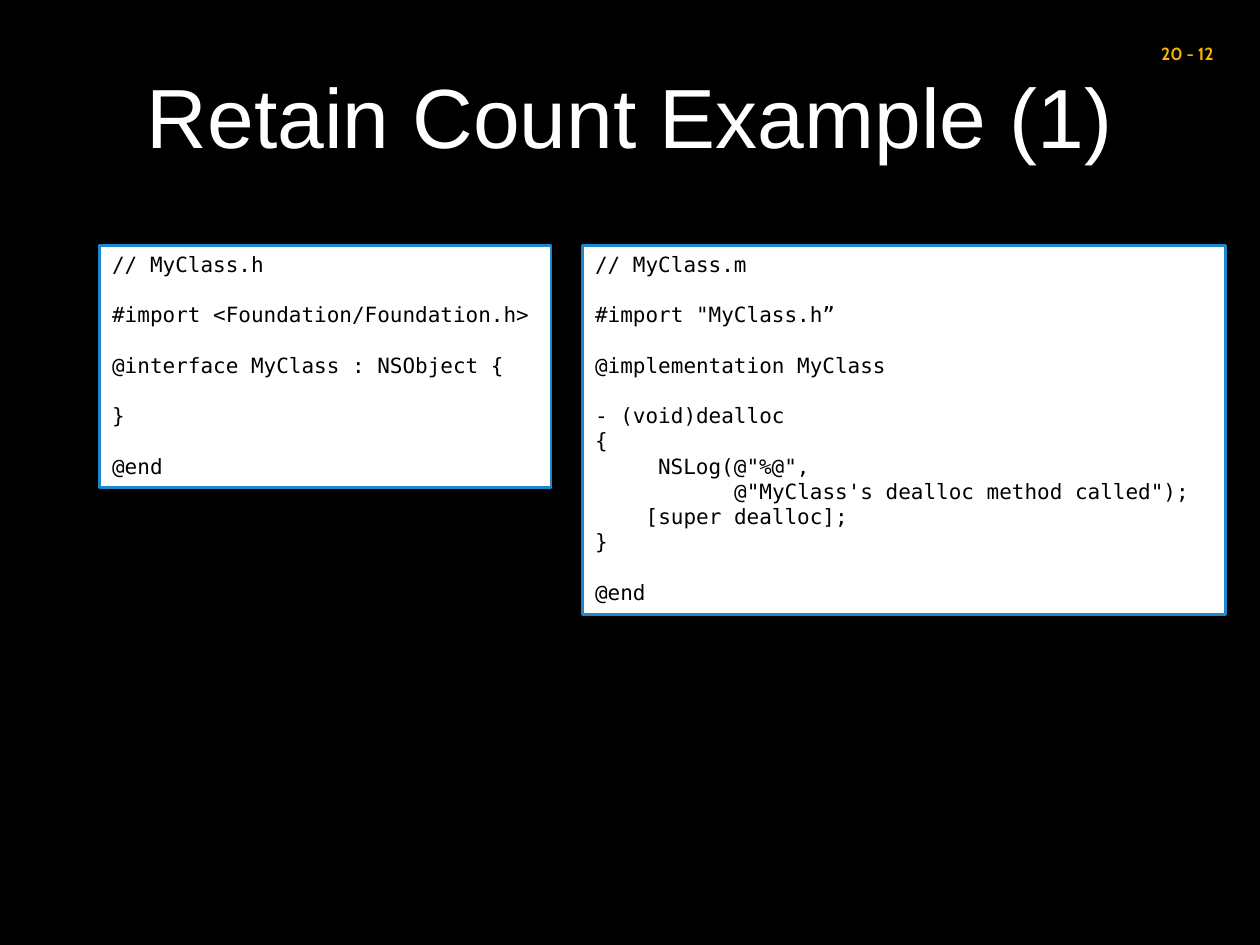
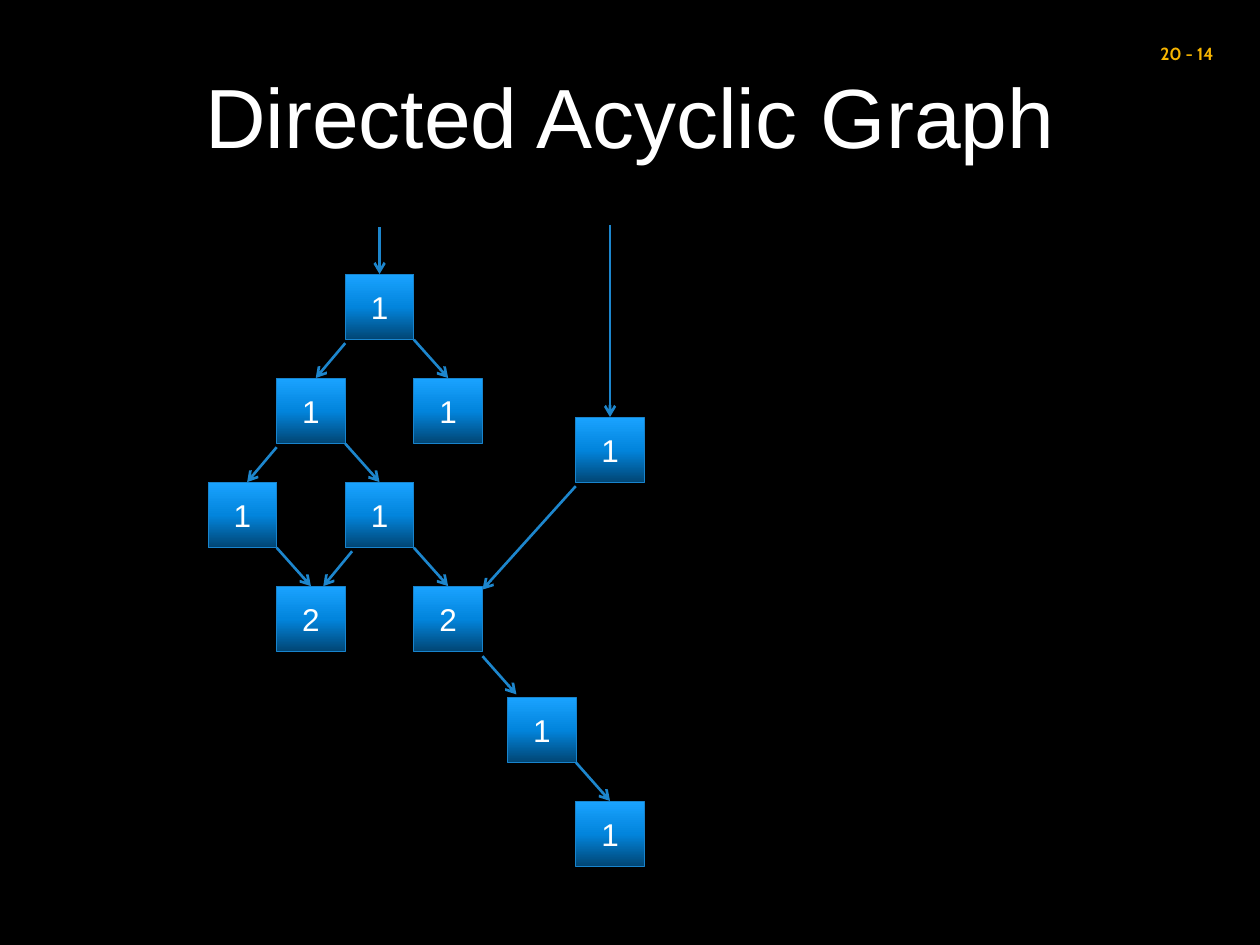
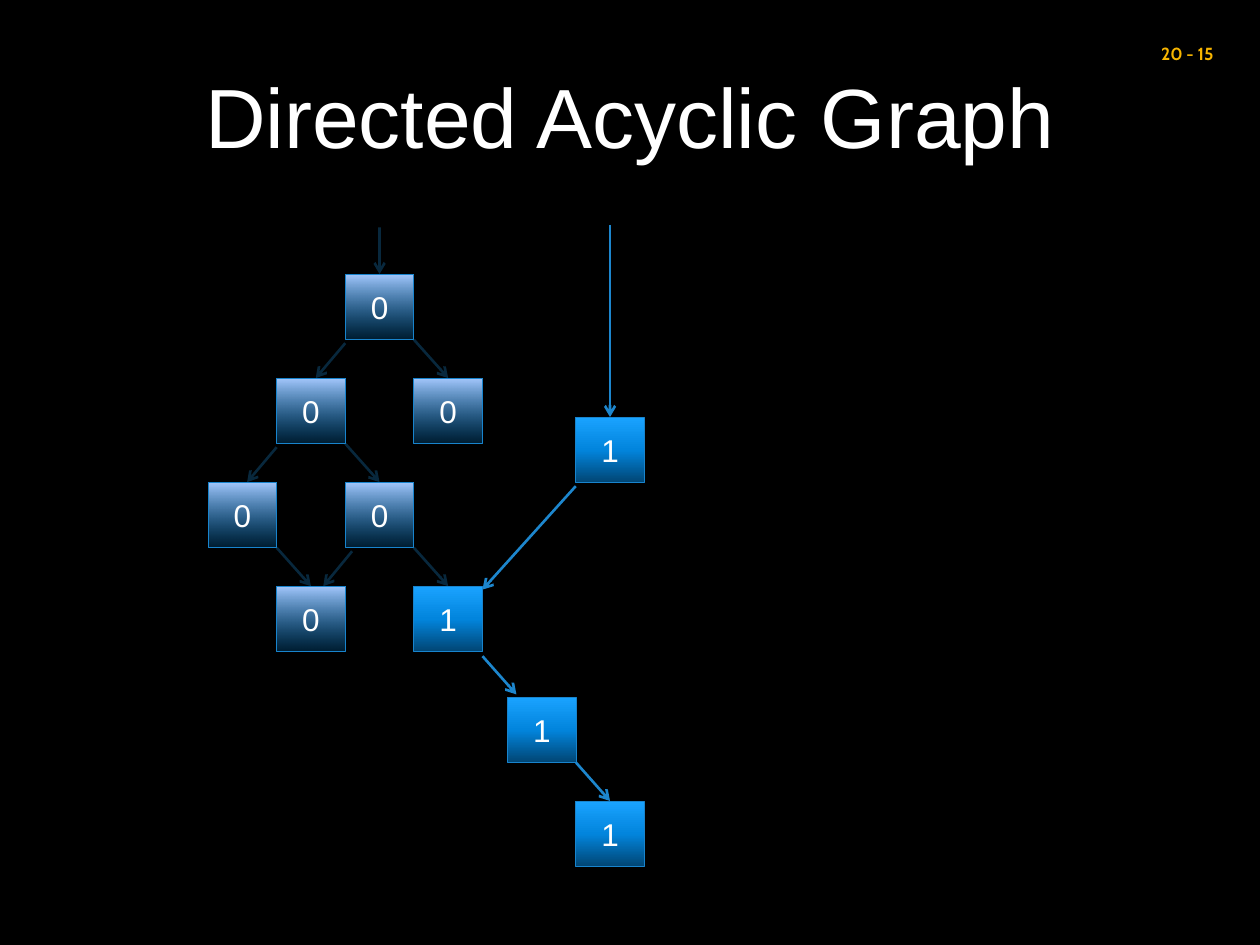
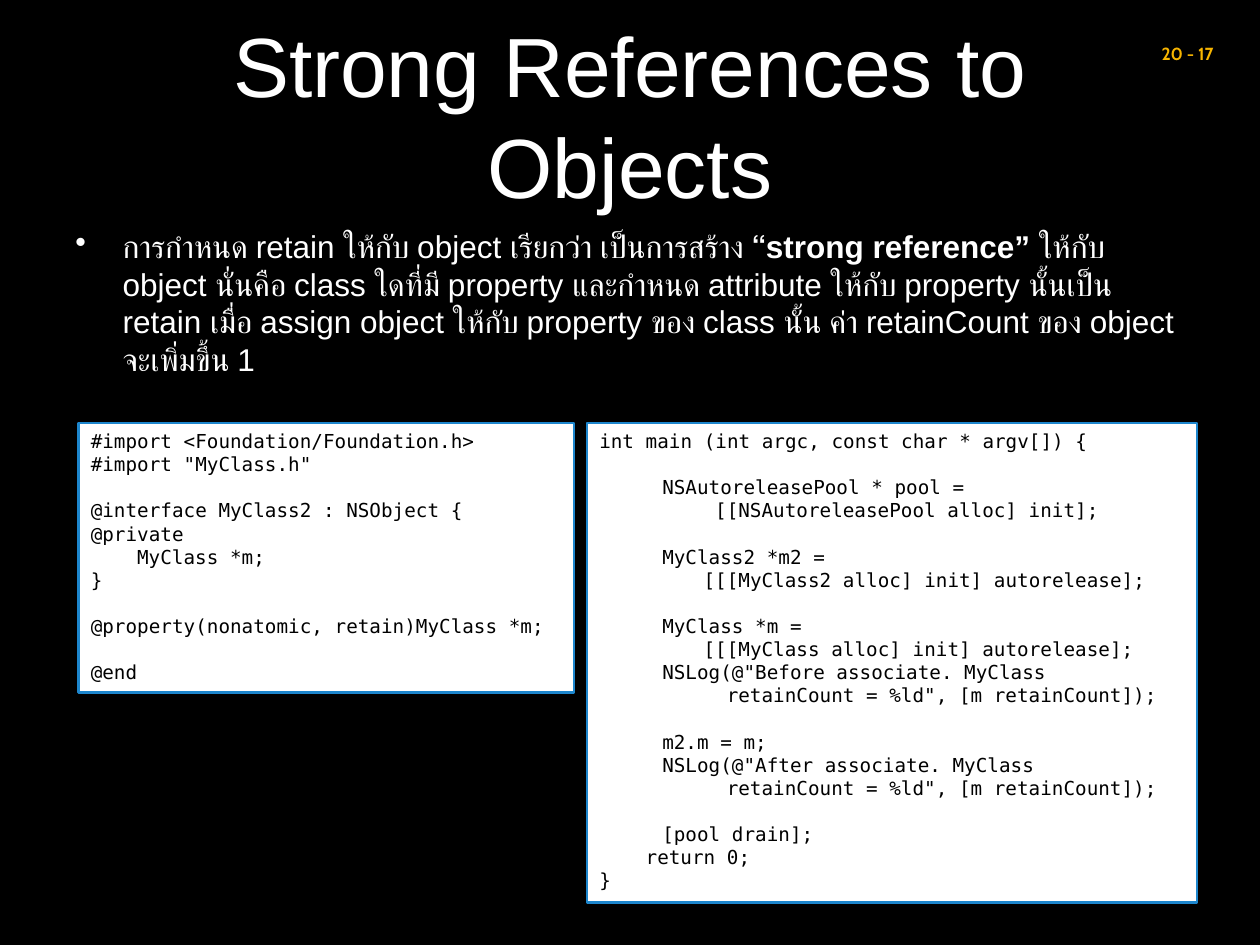
from dataclasses import dataclass

from lxml.etree import SubElement
from pptx import Presentation
from pptx.dml.color import RGBColor
from pptx.enum.shapes import MSO_CONNECTOR, MSO_SHAPE
from pptx.enum.text import MSO_ANCHOR, MSO_AUTO_SIZE, PP_ALIGN
from pptx.oxml import parse_xml
from pptx.oxml.ns import nsdecls, qn
from pptx.util import Pt

BLACK = RGBColor(0x00, 0x00, 0x00)
WHITE = RGBColor(0xFF, 0xFF, 0xFF)
AMBER = RGBColor(0xF7, 0xB5, 0x00)
BLUE = RGBColor(0x1D, 0x86, 0xCD)
NODE_EDGE = RGBColor(0x18, 0x84, 0xCD)
NODE_LIGHT = RGBColor(0x1A, 0xA3, 0xFF)
NODE_MIDDLE = RGBColor(0x02, 0x85, 0xDD)
NODE_DARK = RGBColor(0x01, 0x45, 0x73)
RELEASED_LIGHT = RGBColor(0xA6, 0xCA, 0xFF)
RELEASED_DARK = RGBColor(0x03, 0x8B, 0xE7)

BODY_FONT = "Arial"
NUMBER_FONT = "Cabin"
CODE_FONT = "DejaVu Sans Mono"

# Gradient stops from bottom to top: position, colour, opacity (percent)
LIVE_STOPS = [(0, NODE_DARK, 100), (50, NODE_MIDDLE, 100), (100, NODE_LIGHT, 100)]
RELEASED_STOPS = [(0, RELEASED_DARK, 20), (100, RELEASED_LIGHT, 100)]
RELEASED_OPACITY = 29

TAB = 36
CHAR_WIDTH = 0.602  # of the code font, relative to its size
LINE_HEIGHT = 1.2

NODE_WIDTH, NODE_HEIGHT = 39.2, 37.5
GRAPH_LEFT, GRAPH_TOP, ROW_PITCH = 118.9, 156.6, 59.45


def grid(column, row):
    return GRAPH_LEFT + column * NODE_WIDTH, GRAPH_TOP + row * ROW_PITCH


NODES = {
    "root": grid(2, 0),
    "left": grid(1, 1),
    "right": grid(3, 1),
    "left leaf": grid(0, 2),
    "inner": grid(2, 2),
    "shared leaf": grid(1, 3),
    "shared": grid(3, 3),
    "second root": (329, 238.3),
    "tail": (290, 398.3),
    "end": (329, 457.7),
}
ENTRY_TOPS = {"root": 130, "second root": 128.5}


@dataclass
class Edge:
    """Arrow from under one node to the top of another; x as a share of width."""
    source: str
    target: str
    leave: float = 1
    land: float = 0.5
    drop: float = 0
    sink: float = 0


EDGES = [
    Edge("root", "left", leave=0, land=0.57, drop=2),
    Edge("root", "right"),
    Edge("left", "left leaf", leave=0, land=0.57, drop=2),
    Edge("left", "inner"),
    Edge("left leaf", "shared leaf"),
    Edge("inner", "shared leaf", leave=0.1, land=0.68, drop=2),
    Edge("inner", "shared"),
    Edge("second root", "shared", leave=0, land=1, drop=2, sink=2),
    Edge("shared", "tail", land=0.13, drop=2.5, sink=-1.5),
    Edge("tail", "end"),
]

ALL_RETAINED = dict.fromkeys(NODES, 1) | {"shared leaf": 2, "shared": 2}
ROOT_RELEASED = dict.fromkeys(NODES, 0) | dict.fromkeys(
    ["shared", "second root", "tail", "end"], 1)

# In code, "" is a gap of one line and "\n" breaks a statement.
MYCLASS_HEADER = [
    "// MyClass.h", "",
    "#import <Foundation/Foundation.h>", "",
    "@interface MyClass : NSObject {", "",
    "}", "",
    "@end",
]
MYCLASS_BODY = [
    "// MyClass.m", "",
    '#import "MyClass.h”', "",
    "@implementation MyClass", "",
    "- (void)dealloc",
    "{",
    "\tNSLog(@\"%@\",\n           @\"MyClass's dealloc method called\");",
    "    [super dealloc];",
    "}", "",
    "@end",
]
MYCLASS2_HEADER = [
    "#import <Foundation/Foundation.h>",
    '#import "MyClass.h"', "",
    "@interface MyClass2 : NSObject {",
    "@private",
    "    MyClass *m;",
    "}", "",
    "@property(nonatomic, retain)MyClass *m;", "",
    "@end",
]
MAIN_PROGRAM = [
    "int main (int argc, const char * argv[]) {", "",
    "\tNSAutoreleasePool * pool =\n          [[NSAutoreleasePool alloc] init];", "",
    "\tMyClass2 *m2 =\n         [[[MyClass2 alloc] init] autorelease];", "",
    "\tMyClass *m =\n         [[[MyClass alloc] init] autorelease];",
    '\tNSLog(@"Before associate. MyClass\n           retainCount = %ld", [m retainCount]);',
    "",
    "\tm2.m = m;",
    '\tNSLog(@"After associate. MyClass\n           retainCount = %ld", [m retainCount]);',
    "",
    "\t[pool drain];",
    "    return 0;",
    "}",
]
STRONG_REFERENCE = [
    ("การกำหนด retain ให้กับ object เรียกว่า เป็นการสร้าง ", False),
    ("“strong reference” ", True),
    ("ให้กับ object นั่นคือ class ใดที่มี property และกำหนด attribute ให้กับ "
     "property นั้นเป็น retain เมื่อ assign object ให้กับ property ของ class นั้น "
     "ค่า retainCount ของ object จะเพิ่มขึ้น 1", False),
]


def write(paragraph, text, *, size, font=BODY_FONT, color=WHITE, bold=False,
          align=PP_ALIGN.LEFT, before=0, margin=0, indent=0):
    """Append text to a paragraph; a newline in it becomes a line break."""
    paragraph.alignment = align
    paragraph.space_before = Pt(before)
    properties = paragraph._p.get_or_add_pPr()
    properties.set("marL", str(Pt(margin)))
    properties.set("indent", str(Pt(indent)))
    for number, line in enumerate(text.split("\n")):
        if number:
            paragraph.add_line_break()
        run = paragraph.add_run()
        run.text = line
        run.font.name, run.font.size = font, Pt(size)
        run.font.bold, run.font.color.rgb = bold, color


def add_text_area(slide, left, top, width, height, anchor=MSO_ANCHOR.TOP):
    area = slide.shapes.add_textbox(Pt(left), Pt(top), Pt(width), Pt(height))
    frame = area.text_frame
    frame.word_wrap = True
    frame.vertical_anchor = anchor
    return frame.paragraphs[0]


def add_box(slide, left, top, width, height, line_color, line_width):
    box = slide.shapes.add_shape(
        MSO_SHAPE.RECTANGLE, Pt(left), Pt(top), Pt(width), Pt(height))
    box.shadow.inherit = False
    box.line.color.rgb = line_color
    box.line.width = Pt(line_width)
    box.text_frame.word_wrap = True
    return box


def add_titled_slide(deck, title, number):
    slide = deck.slides.add_slide(deck.slide_layouts[6])
    write(add_text_area(slide, 54, 9.5, 612, 112, MSO_ANCHOR.MIDDLE), title,
          size=48, align=PP_ALIGN.CENTER)
    write(add_text_area(slide, 627, 21, 73.5, 19.5), f"20 - {number}", size=10,
          font=NUMBER_FONT, color=AMBER, bold=True, align=PP_ALIGN.RIGHT)
    return slide


def indent_of(line, size):
    if line.startswith("\t"):
        return TAB
    return round((len(line) - len(line.lstrip())) * CHAR_WIDTH * size, 2)


def add_code(slide, code, left, top, width, height, size):
    listing = add_box(slide, left, top, width, height, BLUE, 1.5)
    listing.fill.solid()
    listing.fill.fore_color.rgb = WHITE
    frame = listing.text_frame
    frame.vertical_anchor = MSO_ANCHOR.TOP
    frame.auto_size = MSO_AUTO_SIZE.SHAPE_TO_FIT_TEXT
    paragraph, gap = frame.paragraphs[0], 0
    for statement in code:
        if not statement:
            gap = LINE_HEIGHT * size
            continue
        if paragraph is None:
            paragraph = frame.add_paragraph()
        lines = statement.split("\n")
        first, margin = indent_of(lines[0], size), indent_of(lines[-1], size)
        write(paragraph, "\n".join(line.strip() for line in lines), size=size,
              font=CODE_FONT, color=BLACK, before=gap, margin=margin,
              indent=first - margin)
        paragraph, gap = None, 0


def fill_gradient(shape, stops):
    """Fill from bottom to top."""
    stop_list = "".join(
        f'<a:gs pos="{position * 1000}"><a:srgbClr val="{color}">'
        f'<a:alpha val="{opacity * 1000}"/></a:srgbClr></a:gs>'
        for position, color, opacity in stops)
    gradient = parse_xml(
        f'<a:gradFill {nsdecls("a")} rotWithShape="1"><a:gsLst>{stop_list}</a:gsLst>'
        '<a:lin ang="16200000" scaled="0"/></a:gradFill>')
    shape._element.spPr.find(qn("a:prstGeom")).addnext(gradient)


def add_node(slide, left, top, count):
    node = add_box(slide, left, top, NODE_WIDTH, NODE_HEIGHT, NODE_EDGE, 0.5)
    fill_gradient(node, LIVE_STOPS if count else RELEASED_STOPS)
    node.text_frame.vertical_anchor = MSO_ANCHOR.MIDDLE
    write(node.text_frame.paragraphs[0], str(count), size=18,
          align=PP_ALIGN.CENTER)


def add_arrow(slide, start, end, released):
    arrow = slide.shapes.add_connector(
        MSO_CONNECTOR.STRAIGHT, *(Pt(value) for value in (*start, *end)))
    arrow.line.color.rgb = BLUE
    arrow.line.width = Pt(1.5)
    properties = arrow._element.spPr
    outline = properties.find(qn("a:ln"))
    if released:
        SubElement(outline.find(".//" + qn("a:srgbClr")), qn("a:alpha"),
                   val=str(RELEASED_OPACITY * 1000))
    SubElement(outline, qn("a:tailEnd"), type="arrow")
    SubElement(properties, qn("a:effectLst"))


def add_graph(slide, counts):
    """Draw all nodes and arrows; whatever has count 0 is faded."""
    for name, (left, top) in NODES.items():
        add_node(slide, left, top, counts[name])
    for name, entry_top in ENTRY_TOPS.items():
        left, top = NODES[name]
        center = left + NODE_WIDTH / 2
        add_arrow(slide, (center, entry_top), (center, top), counts[name] == 0)
    for edge in EDGES:
        left, top = NODES[edge.source]
        target_left, target_top = NODES[edge.target]
        add_arrow(
            slide,
            (left + edge.leave * NODE_WIDTH, top + NODE_HEIGHT + edge.drop),
            (target_left + edge.land * NODE_WIDTH, target_top + edge.sink),
            counts[edge.source] == 0)


def add_bullet(slide, pieces):
    paragraph = add_text_area(slide, 36, 126, 648, 98.5)
    for text, bold in pieces:
        write(paragraph, text, size=18, bold=bold, before=3.6, margin=27,
              indent=-27)
    SubElement(paragraph._p.get_or_add_pPr(), qn("a:buChar"), char="•")


def main():
    deck = Presentation()
    deck.slide_width, deck.slide_height = Pt(720), Pt(540)
    background = deck.slide_master.background.fill
    background.solid()
    background.fore_color.rgb = BLACK

    example = add_titled_slide(deck, "Retain Count Example (1)", 12)
    add_code(example, MYCLASS_HEADER, 57, 140.2, 257.8, 138.5, size=12)
    add_code(example, MYCLASS_BODY, 333, 140.2, 367.2, 211, size=12)

    for number, counts in ((14, ALL_RETAINED), (15, ROOT_RELEASED)):
        add_graph(add_titled_slide(deck, "Directed Acyclic Graph", number), counts)

    references = add_titled_slide(deck, "Strong References to Objects", 17)
    add_bullet(references, STRONG_REFERENCE)
    add_code(references, MYCLASS2_HEADER, 44.8, 241.8, 283.2, 154, size=11)
    add_code(references, MAIN_PROGRAM, 335.4, 241.8, 348.6, 273.8, size=11)

    deck.save("out.pptx")


if __name__ == "__main__":
    main()
